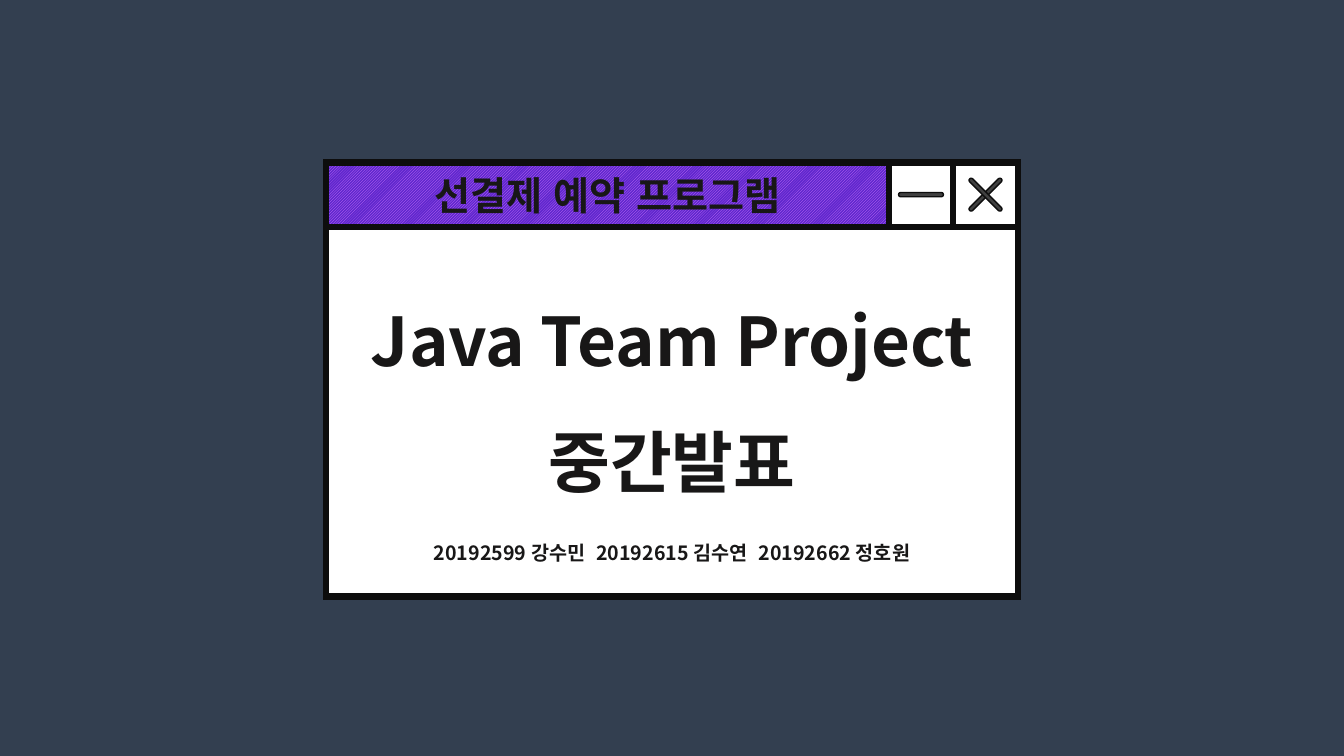
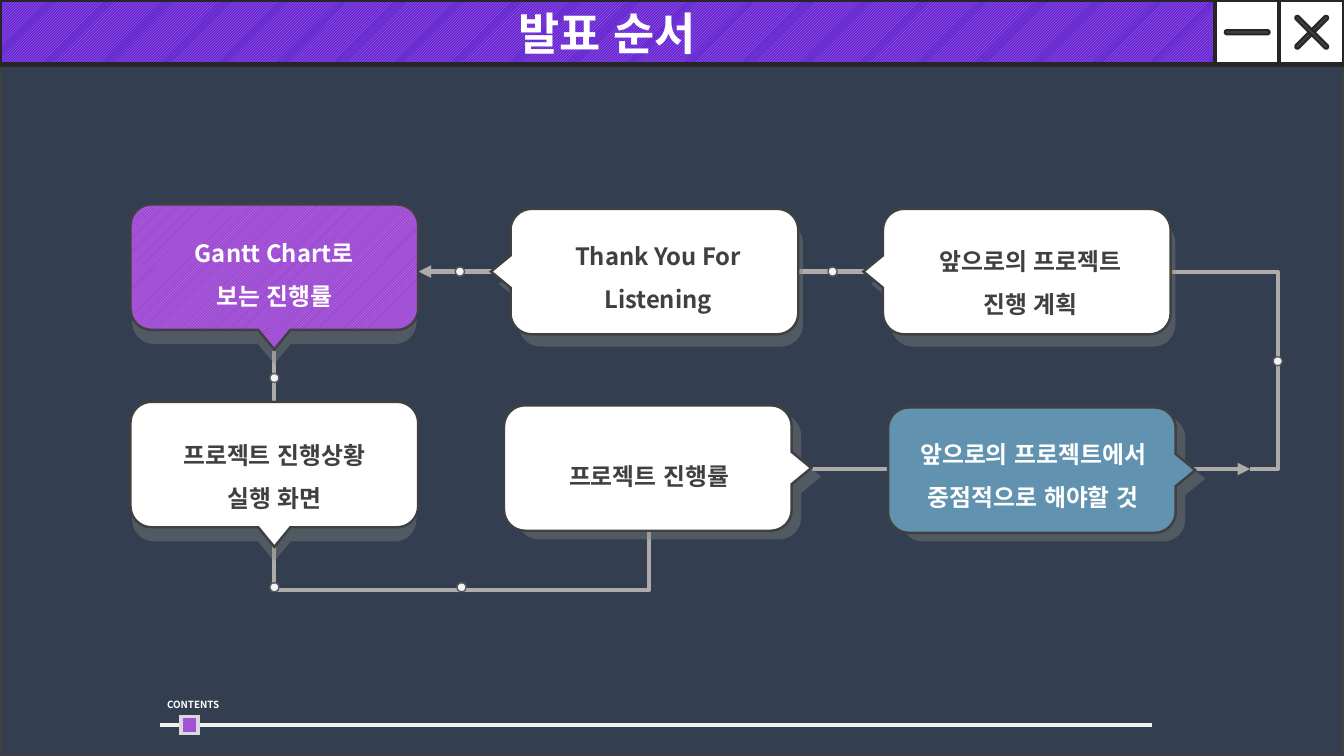
from lxml import etree
from pptx import Presentation
from pptx.dml.color import RGBColor
from pptx.enum.dml import MSO_PATTERN
from pptx.enum.shapes import MSO_CONNECTOR, MSO_SHAPE
from pptx.enum.text import MSO_ANCHOR, PP_ALIGN
from pptx.oxml.ns import qn
from pptx.util import Pt

RECT, PILL, OVAL = MSO_SHAPE.RECTANGLE, MSO_SHAPE.ROUNDED_RECTANGLE, MSO_SHAPE.OVAL
STRAIGHT, ELBOW = MSO_CONNECTOR.STRAIGHT, MSO_CONNECTOR.ELBOW
LIGHT_STRIPES = MSO_PATTERN.LIGHT_UPWARD_DIAGONAL
DARK_STRIPES = MSO_PATTERN.DARK_UPWARD_DIAGONAL
CENTER = PP_ALIGN.CENTER
TOP, MIDDLE = MSO_ANCHOR.TOP, MSO_ANCHOR.MIDDLE

FONT = "Noto Sans CJK KR"
WIDTH, HEIGHT = 960, 540
BUTTON = 46.1
CARD_W, CARD_H, CORNER = 205.5, 89.6, 15
TAIL_HALF, TAIL_LENGTH = 11.5, 14
ARC = 0.55
SHADOW_ANGLE = {"down": 90, "left": 62, "right": 38}
TEXT_SHIFT = {"down": 0, "left": 2.7, "right": 1}

COLORS = {
    "background": "333F50", "white": "FFFFFF", "black": "0D0D0D", "title": "181717",
    "dark": "404040", "frame": "262626", "stripe": "D175FF", "violet": "5F27CD",
    "purple": "994BCD", "blue": "6192B0", "path": "AFABAB", "track": "F2F2F2",
    "marker": "D9D9D9", "dot": "F4F5F7", "dot_edge": "595959", "shadow": "808080",
}
BAR_FILL = (LIGHT_STRIPES, "violet")
ACCENT_FILL = (DARK_STRIPES, "purple")


def color(name):
    return RGBColor.from_string(COLORS[name])


def paint(shape, fill, line, weight):
    """Fill is a colour name, a (pattern, background) pair or None."""
    shape.shadow.inherit = False
    if fill is None:
        shape.fill.background()
    elif isinstance(fill, tuple):
        shape.fill.patterned()
        shape.fill.pattern = fill[0]
        shape.fill.fore_color.rgb = color("stripe")
        shape.fill.back_color.rgb = color(fill[1])
    else:
        shape.fill.solid()
        shape.fill.fore_color.rgb = color(fill)
    shape.line.color.rgb = color(line)
    shape.line.width = Pt(weight)
    outline = shape._element.spPr.find(qn("a:ln"))
    etree.SubElement(outline, qn("a:miter"), lim="800000")


def add_box(slide, kind, box, fill, line, weight):
    shape = slide.shapes.add_shape(kind, *map(Pt, box))
    paint(shape, fill, line, weight)
    return shape


def write(shape, lines, ink, spacing=1.0, anchor=MIDDLE, margins=(7.2, 3.6)):
    """Lines are (text, size, space before) triples."""
    frame = shape.text_frame
    side, edge = map(Pt, margins)
    layout = {"word_wrap": True, "vertical_anchor": anchor, "margin_left": side,
              "margin_right": side, "margin_top": edge, "margin_bottom": edge}
    for key, value in layout.items():
        setattr(frame, key, value)
    for index, (text, size, before) in enumerate(lines):
        paragraph = frame.add_paragraph() if index else frame.paragraphs[0]
        style = {"alignment": CENTER, "line_spacing": spacing, "space_before": Pt(before)}
        for key, value in style.items():
            setattr(paragraph, key, value)
        run = paragraph.add_run()
        run.text = text
        for key, value in {"name": FONT, "size": Pt(size), "bold": True}.items():
            setattr(run.font, key, value)
        run.font.color.rgb = color(ink)
        properties = run._r.rPr
        properties.set("lang", "ko-KR")
        latin = properties.find(qn("a:latin"))
        latin.addnext(etree.Element(qn("a:ea"), typeface=FONT))


def add_label(slide, box, lines, ink, **layout):
    write(slide.shapes.add_textbox(*map(Pt, box)), lines, ink, **layout)


def add_line(slide, start, end, ink, weight, arrow=False, kind=STRAIGHT):
    line = slide.shapes.add_connector(kind, *map(Pt, start + end))
    line.line.color.rgb = color(ink)
    line.line.width = Pt(weight)
    properties = line._element.spPr
    if arrow:
        etree.SubElement(properties.find(qn("a:ln")), qn("a:tailEnd"), type="triangle")
    etree.SubElement(properties, qn("a:effectLst"))
    return line


def bend(line, preset, adjustments, turn=0):
    """Set the preset, bend positions and turn (degrees) of an elbow connector."""
    properties = line._element.spPr
    properties.find(qn("a:xfrm")).set("rot", str(turn * 60000))
    geometry = properties.find(qn("a:prstGeom"))
    geometry.set("prst", preset)
    guides = geometry.find(qn("a:avLst"))
    if guides is None:
        guides = etree.SubElement(geometry, qn("a:avLst"))
    for number, share in enumerate(adjustments, 1):
        etree.SubElement(guides, qn("a:gd"), name=f"adj{number}",
                         fmla=f"val {round(share * 100000)}")


def window_bar(slide, x, y, width, title, size, ink, edge, weight, glyph_weight):
    """Striped title bar with minimise and close buttons at its right end."""
    title_width = width - 2 * BUTTON
    bar = add_box(slide, RECT, (x, y, title_width, BUTTON), BAR_FILL, edge, weight)
    write(bar, [(title, size, 0)], ink)
    glyph_w, glyph_h = 32, 3
    for place, turns in enumerate([(0,), (315, 45)]):
        left = x + title_width + place * BUTTON
        add_box(slide, RECT, (left, y, BUTTON, BUTTON), "white", edge, weight)
        for turn in turns:
            stroke = (left + (BUTTON - glyph_w) / 2, y + (BUTTON - glyph_h) / 2,
                      glyph_w, glyph_h)
            glyph = add_box(slide, PILL, stroke, "dark", edge, glyph_weight)
            glyph.adjustments[0] = 0.5
            glyph.rotation = turn


def card_outline(x, y, tail):
    """Points clockwise from the top left, and {index of corner end: corner}."""
    right, bottom = x + CARD_W, y + CARD_H
    mid_x, mid_y = x + CARD_W / 2, y + CARD_H / 2
    tails = {
        "right": [(right, mid_y - TAIL_HALF), (right + TAIL_LENGTH, mid_y),
                  (right, mid_y + TAIL_HALF)],
        "down": [(mid_x + TAIL_HALF, bottom), (mid_x, bottom + TAIL_LENGTH),
                 (mid_x - TAIL_HALF, bottom)],
        "left": [(x, mid_y + TAIL_HALF), (x - TAIL_LENGTH, mid_y),
                 (x, mid_y - TAIL_HALF)],
    }
    corners = [((x, y), (0, 1), (1, 0), None),
               ((right, y), (-1, 0), (0, 1), "right"),
               ((right, bottom), (0, -1), (-1, 0), "down"),
               ((x, bottom), (1, 0), (0, -1), "left")]
    points, bends = [], {}
    for (cx, cy), enter, leave, side in corners:
        points += [(cx + CORNER * dx, cy + CORNER * dy) for dx, dy in (enter, leave)]
        bends[len(points) - 1] = (cx, cy)
        if side == tail:
            points += tails[side]
    return points, bends


def round_corners(card, points, bends):
    """Turn the straight cut at each corner into a curve."""
    outline = next(card._element.iter(qn("a:path".replace("path", "pathLst"))))[0]
    steps = list(outline)
    for index, corner in bends.items():
        curve = etree.Element(qn("a:cubicBezTo"))
        start, end = points[index - 1], points[index]
        controls = [tuple(p + ARC * (c - p) for p, c in zip(point, corner))
                    for point in (start, end)]
        for px, py in controls + [end]:
            etree.SubElement(curve, qn("a:pt"), x=str(Pt(px) - card.left),
                             y=str(Pt(py) - card.top))
        outline.replace(steps[index], curve)


def add_card_shadow(shape, angle):
    effects = shape._element.spPr.find(qn("a:effectLst"))
    shadow = etree.SubElement(effects, qn("a:outerShdw"), blurRad="0", dist=str(Pt(10)),
                              dir=str(angle * 60000), sx="98000", sy="98000",
                              algn="ctr", rotWithShape="0")
    tint = etree.SubElement(shadow, qn("a:srgbClr"), val=COLORS["shadow"])
    etree.SubElement(tint, qn("a:alpha"), val="40000")


def speech_card(slide, x, y, tail, fill, ink, text_drop, lines):
    points, bends = card_outline(x, y, tail)
    corners = [(Pt(px), Pt(py)) for px, py in points]
    builder = slide.shapes.build_freeform(*corners[0])
    builder.add_line_segments(corners[1:], close=True)
    card = builder.convert_to_shape()
    round_corners(card, points, bends)
    paint(card, fill, "dark", 1.75)
    add_card_shadow(card, SHADOW_ANGLE[tail])
    add_label(slide, (x + TEXT_SHIFT[tail], y + text_drop, CARD_W, 65),
              [(line, 17, 0) for line in lines], ink,
              spacing=1.5, anchor=TOP, margins=(10, 3.6))


def flow_paths(slide):
    add_line(slide, (647, 194), (299, 194), "path", 3, arrow=True)
    add_line(slide, (580, 335), (893, 335), "path", 3, arrow=True)
    lower = add_line(slide, (196, 251), (463.7, 350), "path", 3, True, ELBOW)
    bend(lower, "bentConnector4", (0, 1.72))
    outer = add_line(slide, (647, 194), (893, 335), "path", 3, True, ELBOW)
    bend(outer, "bentConnector3", (-0.08,), turn=180)


def flow_dots(slide):
    size = 6.5
    for x, y in [(594.7, 194), (328.5, 194), (196, 270), (196, 419.5),
                 (329.7, 419.5), (912.7, 258)]:
        add_box(slide, OVAL, (x - size / 2, y - size / 2, size, size), "dot", "dot_edge", 1)


def progress_track(slide, x, y, length):
    add_line(slide, (x, y), (x + length, y), "track", 2.5)
    add_box(slide, RECT, (x + 15.3, y - 6, 12.3, 12.3), ACCENT_FILL, "marker", 2.5)
    add_label(slide, (x - 4.5, y - 22.2, 57, 16), [("CONTENTS", 7, 0)], "white", anchor=TOP)


def new_slide(deck):
    slide = deck.slides.add_slide(deck.slide_layouts[6])
    slide.background.fill.solid()
    slide.background.fill.fore_color.rgb = color("background")
    return slide


def cover_slide(deck):
    slide = new_slide(deck)
    x, y, width = 233, 116, 494
    body = add_box(slide, RECT, (x, y + BUTTON, width, 264), "white", "black", 4.5)
    members = "20192599 강수민  20192615 김수연  20192662 정호원"
    write(body, [("Java Team Project", 48, 0), ("중간발표", 48, 0), (members, 14, 19.6)],
          "title", spacing=1.5)
    window_bar(slide, x, y, width, "선결제 예약 프로그램", 28, "title", "black", 4.5, 1)


def contents_slide(deck):
    slide = new_slide(deck)
    add_box(slide, RECT, (0, BUTTON, WIDTH, HEIGHT - BUTTON), None, "dark", 2.5)
    window_bar(slide, 0, 0, WIDTH, "발표 순서", 32, "white", "frame", 3, 1.5)
    progress_track(slide, 114, 517.7, 709)
    flow_paths(slide)
    cards = [
        (93.2, 146, "down", ACCENT_FILL, "white", 11, ["Gantt Chart로", "보는 진행률"]),
        (364.7, 149.2, "left", "white", "dark", 10, ["Thank You For Listening"]),
        (630.7, 149.2, "left", "white", "dark", 13.3, ["앞으로의 프로젝트", "진행 계획"]),
        (93.2, 287, "down", "white", "dark", 14, ["프로젝트 진행상황", "실행 화면"]),
        (360, 289.5, "right", "white", "dark", 26.5, ["프로젝트 진행률"]),
        (634.3, 291, "right", "blue", "white", 9.5,
         ["앞으로의 프로젝트에서 중점적으로 해야할 것"]),
    ]
    for card in cards:
        speech_card(slide, *card)
    flow_dots(slide)


def main():
    deck = Presentation()
    deck.slide_width, deck.slide_height = Pt(WIDTH), Pt(HEIGHT)
    cover_slide(deck)
    contents_slide(deck)
    deck.save("out.pptx")


if __name__ == "__main__":
    main()
